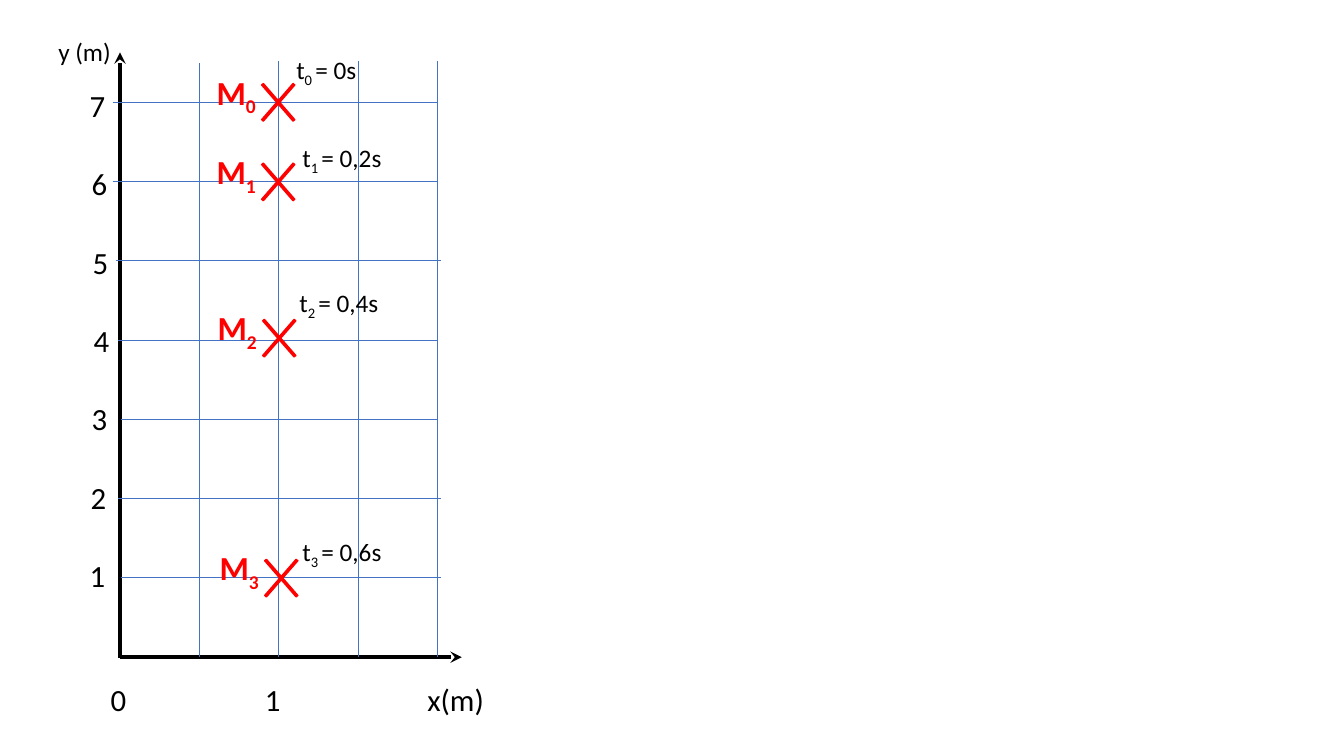
from dataclasses import dataclass

from pptx import Presentation
from pptx import util as u
from pptx.dml.color import RGBColor
from pptx.enum import shapes as sh, text as tx
from pptx.oxml.ns import qn
from lxml import etree

HUES = {"ink": "000000", "grid": "4472C4", "mark": "FF0000"}
LEFT, BASE = 1.19, 6.52     # corner of the axes
STEP = 0.787                # side of a grid cell


@dataclass
class Point:
    """A dated position of the moving body."""
    num: int
    level: int              # value on the y axis
    left: float             # left edge of the cross
    top: float              # top edge of the cross
    time: str
    tx: float               # corner of the time label
    ty: float


POINTS = [
    Point(0, 7, 2.46, 0.67, "0s", 2.84, 0.49),
    Point(1, 6, 2.46, 1.46, "0,2s", 2.9, 1.36),
    Point(2, 4, 2.47, 3.01, "0,4s", 2.87, 2.8),
    Point(3, 1, 2.49, 5.39, "0,6s", 2.9, 5.27),
]
# Top of each upright line; start and end of each level line
TOPS = [0.63, 0.61, 0.61, 0.61]
SPANS = [(1.2, 4.37), (1.17, 4.37), (1.2, 4.34), (1.17, 4.34),
         (1.15, 4.37), (1.12, 4.34), (1.12, 4.34)]
TICKS = [0.79, 0.8, 0.81, 0.83, 0.82, 0.81, 0.79]


def rgb(hue: str) -> RGBColor:
    return RGBColor.from_string(HUES[hue])


def add_line(host, x1: float, y1: float, x2: float, y2: float,
             hue: str = "grid", width: float = 0.5, arrow: bool = False) -> None:
    line = host.add_connector(sh.MSO_CONNECTOR.STRAIGHT,
                              *map(u.Inches, (x1, y1, x2, y2)))
    line.line.color.rgb = rgb(hue)
    line.line.width = u.Pt(width)
    props = line._element.spPr
    if arrow:
        etree.SubElement(props.find(qn("a:ln")), qn("a:tailEnd"), type="stealth")
    etree.SubElement(props, qn("a:effectLst"))


def add_text(host, left: float, top: float, width: float, height: float,
             runs: list[str], size: float, hue: str = "ink",
             bold: bool = False, tabs: tuple[float, ...] = ()) -> None:
    """Write the runs in one paragraph; the second one is a subscript."""
    box = host.add_textbox(*map(u.Inches, (left, top, width, height)))
    frame = box.text_frame
    frame.word_wrap = True
    frame.auto_size = tx.MSO_AUTO_SIZE.SHAPE_TO_FIT_TEXT
    para = frame.paragraphs[0]
    if tabs:
        stops = etree.SubElement(para._p.get_or_add_pPr(), qn("a:tabLst"))
        for stop in tabs:
            etree.SubElement(stops, qn("a:tab"), pos=str(u.Inches(stop)), algn="l")
    look = {"name": "Calibri", "size": u.Pt(size), "bold": bold}
    for i, words in enumerate(runs):
        run = para.add_run()
        run.text = words
        for key, value in look.items():
            setattr(run.font, key, value)
        run.font.color.rgb = rgb(hue)
        if i == 1:
            run.font._element.set("baseline", "-25000")


def add_point(host, point: Point) -> None:
    group = host.add_group_shape().shapes
    cross = group.add_shape(sh.MSO_SHAPE.MATH_MULTIPLY,
                            *map(u.Inches, (point.left, point.top, 0.6, 0.69)))
    cross.adjustments[0] = 0.037
    cross.shadow.inherit = False
    cross.fill.solid()
    cross.fill.fore_color.rgb = rgb("mark")
    cross.line.color.rgb = rgb("mark")
    cross.line.width = u.Pt(1)
    add_text(group, point.left - 0.41, point.top - 0.01, 1.06, 0.5,
             ["M", str(point.num)], 24, "mark", True)


def main() -> None:
    deck = Presentation()
    deck.slide_width, deck.slide_height = u.Inches(13.33), u.Inches(7.5)
    host = deck.slides.add_slide(deck.slide_layouts[6]).shapes

    # Axes
    add_line(host, LEFT, BASE, 4.58, BASE, "ink", 2.75, True)
    add_line(host, LEFT, BASE + 0.01, LEFT, 0.52, "ink", 2.75, True)

    # Grid
    for i, top in enumerate(TOPS, 1):
        x = LEFT + i * STEP
        add_line(host, x, BASE, x, top)
    for i, (start, end) in enumerate(SPANS, 1):
        y = BASE - i * STEP
        add_line(host, start, y, end, y)

    # Axis names and graduations
    add_text(host, 0.48, 0.31, 1.06, 0.4, ["y (m)"], 18)
    add_text(host, 1, 6.7, 4, 0.49, ["0\t1\tx(m)"], 22, tabs=(1.53, 3.14))
    for i, left in enumerate(TICKS, 1):
        add_text(host, left, 6.25 - i * 0.777, 0.88, 0.47, [str(i)], 22)

    # Times, then marked positions
    for point in POINTS:
        add_text(host, point.tx, point.ty, 1.31, 0.4,
                 ["t", f"{point.num} ", f"= {point.time}"], 18)
    for point in POINTS:
        add_point(host, point)

    deck.save("out.pptx")


if __name__ == "__main__":
    main()
